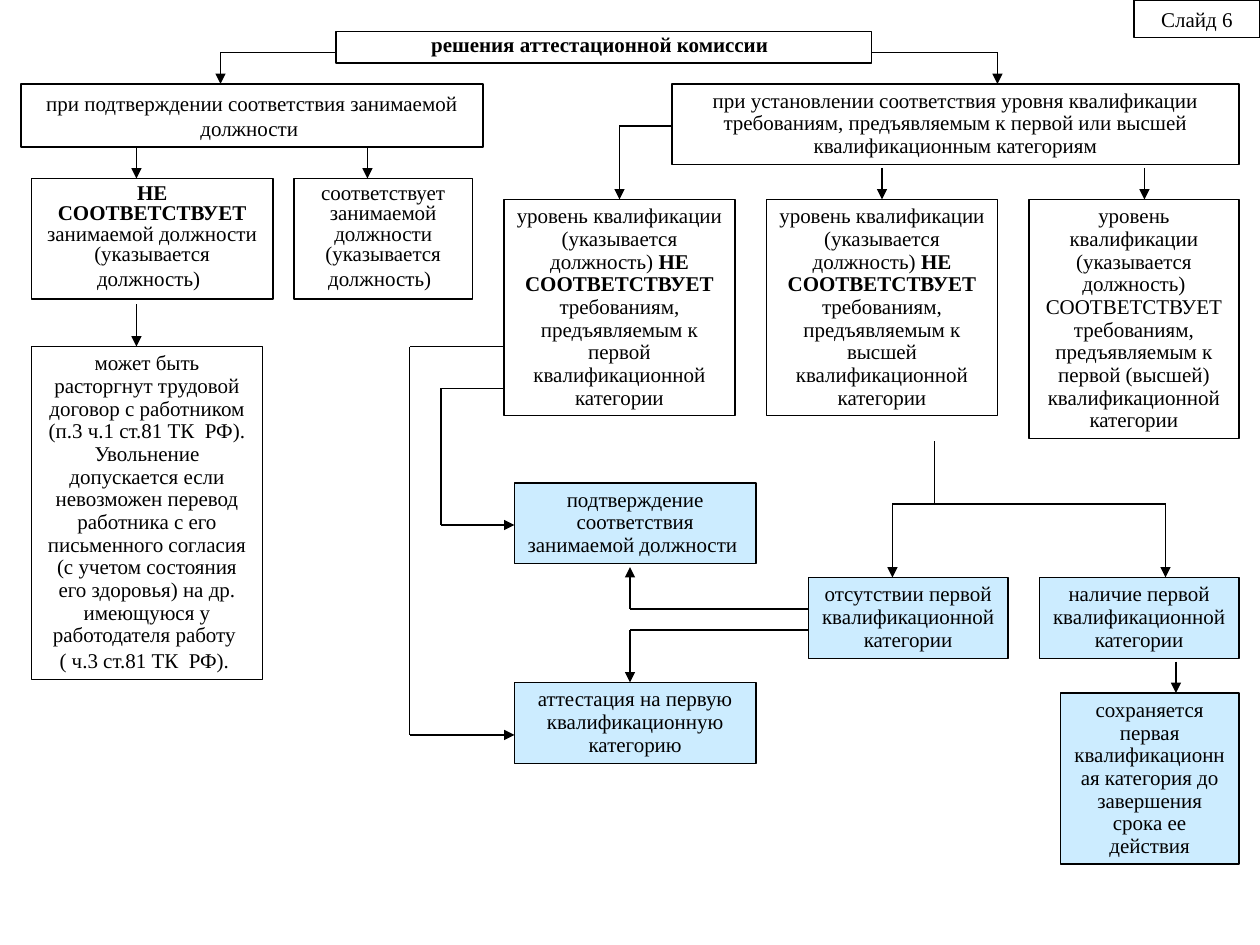
from pptx import Presentation
from pptx.dml.color import RGBColor
from pptx.enum import shapes, text
from pptx.oxml import ns, xmlchemy
from pptx.util import Inches, Pt

BLACK = RGBColor(0, 0, 0)
WHITE = RGBColor(255, 255, 255)
BLUE = RGBColor(0xCC, 0xEC, 0xFF)
FONT = "Times New Roman"
COLS, ROWS = 120, 90  # grid of the slide
WIDTH, HEIGHT = Inches(10), Inches(7.5)

LEVEL = "уровень квалификации (указывается должность) "
NEEDS = " требованиям, предъявляемым к "
CAT = " квалификационной категории"
POST = "занимаемой должности"
GIVEN = " (указывается должность)"
NOT = "*НЕ СООТВЕТСТВУЕТ*"

# Boxes: (col, row, cols, rows), text with *bold* parts, format
BOXES = [
    ((32, 3, 51, 3), "*решения аттестационной комиссии*", dict(gap=0.5, end=18)),
    ((2, 8, 44, 6), f"при подтверждении соответствия {POST} ", dict(gap=1)),
    ((64, 8, 54, 7.7), "при установлении соответствия уровня квалификации требованиям, "
     "предъявляемым к первой или высшей квалификационным категориям", {}),
    ((28, 17, 17, 11.5), f"соответствует {POST}{GIVEN}", dict(gap=0.8, end=16)),
    ((3, 17, 23, 11.5), f"{NOT} {POST}{GIVEN}", dict(gap=0.8, end=16)),
    ((48, 19, 22, 20.6), f"{LEVEL}{NOT}{NEEDS}первой{CAT}", {}),
    ((73, 19, 22, 20.6), f"{LEVEL}{NOT}{NEEDS}высшей{CAT}", {}),
    ((98, 19, 20, 22.8), f"{LEVEL}СООТВЕТСТВУЕТ{NEEDS}первой (высшей){CAT}", {}),
    ((3, 33, 22, 31.7), "может быть расторгнут трудовой договор с работником "
     "(п.3 ч.1 ст.81 ТК  РФ). Увольнение допускается если невозможен перевод "
     "работника с его письменного согласия (с учетом состояния его здоровья) "
     "на др. имеющуюся у работодателя работу \n( ч.3 ст.81 ТК  РФ). ", {}),
    ((49, 46, 23, 7.7), f"подтверждение соответствия {POST} ", dict(fill=BLUE)),
    ((49, 65, 23, 7.7), "аттестация на первую квалификационную категорию", dict(fill=BLUE)),
    ((77, 55, 19, 7.7), f"отсутствии первой{CAT}", dict(fill=BLUE)),
    ((99, 55, 19, 7.7), f"наличие первой{CAT}", dict(fill=BLUE)),
    ((101, 66, 17, 16.3), "сохраняется первая квалификационная категория "
     "до завершения срока ее действия", dict(fill=BLUE)),
    ((108, 0, 12, 3.6), "Слайд 6", dict(gap=1, fill=WHITE)),
]

# Paths: corner points (col, row), with an arrowhead at the last one
ARROWS = [
    [(32, 5), (21, 5), (21, 8)],
    [(83, 5), (95, 5), (95, 8)],
    [(13, 14), (13, 17)],
    [(35, 14), (35, 17)],
    [(13, 29), (13, 33)],
    [(64, 12), (59, 12), (59, 19)],
    [(84, 16), (84, 19)],
    [(109, 16), (109, 19)],
    [(48, 33), (39, 33), (39, 70), (49, 70)],
    [(48, 37), (42, 37), (42, 50), (49, 50)],
    [(89, 48), (85, 48), (85, 55)],
    [(89, 48), (111, 48), (111, 55)],
    [(77, 58), (60, 58), (60, 54)],
    [(77, 60), (60, 60), (60, 65)],
    [(112, 63), (112, 66)],
]
STEM = [(89, 42), (89, 48)]


def place(x, y):
    return round(WIDTH * x / COLS), round(HEIGHT * y / ROWS)


def write(frame, words, gap=0.9, size=12, end=None):
    """Fill a frame; end is the size of a closing space."""
    for i, row in enumerate(words.split("\n")):
        para = frame.add_paragraph() if i else frame.paragraphs[0]
        para.alignment = text.PP_ALIGN.CENTER
        para.line_spacing = 1.0 if i else gap
        parts = [(s, n % 2 == 1, size) for n, s in enumerate(row.split("*")) if s]
        if end:
            parts.append((" ", parts[-1][1], end))
        for part, bold, pts in parts:
            run = para.add_run()
            run.text = part
            run.font.name, run.font.size, run.font.bold = FONT, Pt(pts), bold
            run.font.color.rgb = BLACK


def box(slide, area, words, fill=None, **form):
    x, y, w, h = area
    rect = slide.shapes.add_shape(shapes.MSO_SHAPE.RECTANGLE, *place(x, y), *place(w, h))
    rect.shadow.inherit = False
    if fill is None:
        rect.fill.background()
    else:
        rect.fill.solid()
        rect.fill.fore_color.rgb = fill
    rect.line.color.rgb, rect.line.width = BLACK, Pt(0.75)
    frame = rect.text_frame
    frame.word_wrap = True
    frame.auto_size = text.MSO_AUTO_SIZE.SHAPE_TO_FIT_TEXT
    frame.vertical_anchor = text.MSO_ANCHOR.TOP
    write(frame, words, **form)


def line(slide, start, stop, arrow=False):
    link = slide.shapes.add_connector(
        shapes.MSO_CONNECTOR.STRAIGHT, *place(*start), *place(*stop))
    link.line.color.rgb, link.line.width = BLACK, Pt(0.75)
    props = link._element.spPr
    if arrow:
        tip = xmlchemy.OxmlElement("a:tailEnd")
        tip.set("type", "triangle")
        props.find(ns.qn("a:ln")).append(tip)
    props.append(xmlchemy.OxmlElement("a:effectLst"))


def main():
    deck = Presentation()
    deck.slide_width, deck.slide_height = WIDTH, HEIGHT
    slide = deck.slides.add_slide(deck.slide_layouts[6])

    # Boxes
    for area, words, form in BOXES:
        box(slide, area, words, **form)

    # Lines and arrows
    line(slide, *STEM)
    for path in ARROWS:
        legs = list(zip(path, path[1:]))
        for i, (start, stop) in enumerate(legs, 1):
            line(slide, start, stop, arrow=i == len(legs))

    deck.save("out.pptx")


if __name__ == "__main__":
    main()
